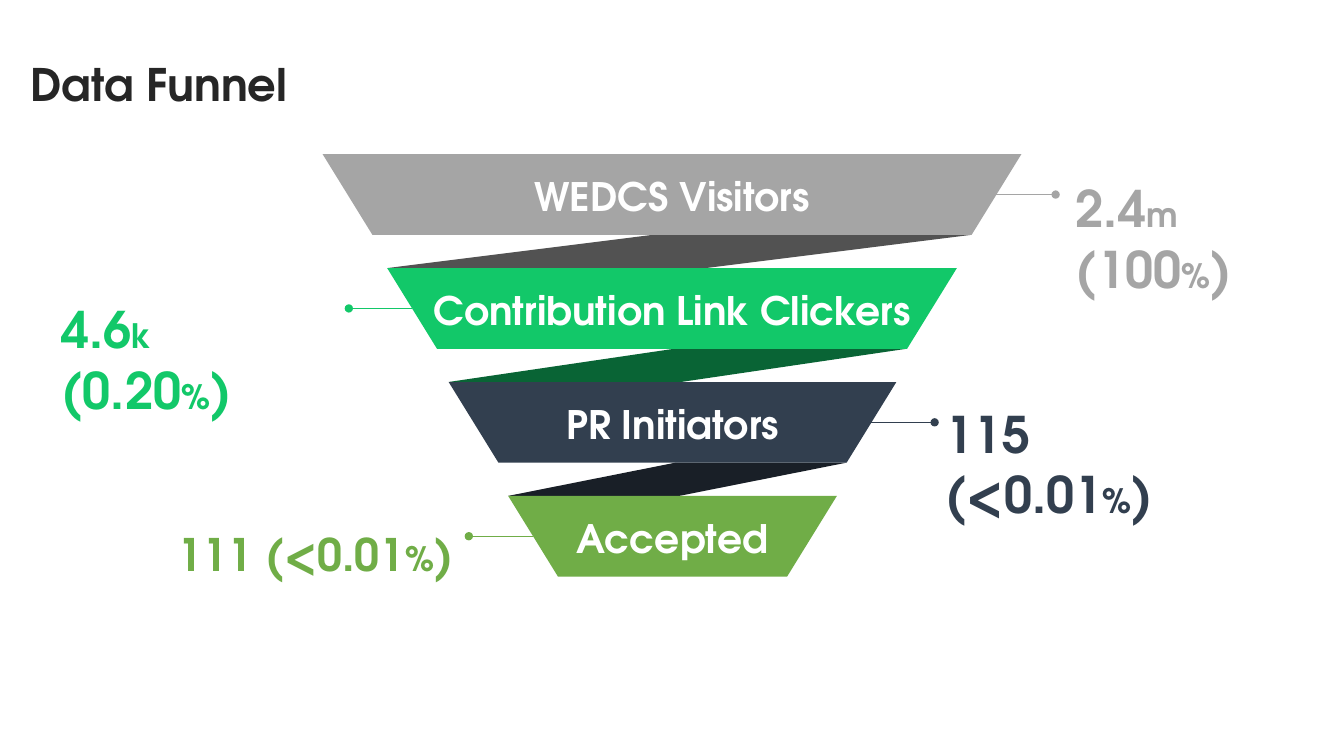
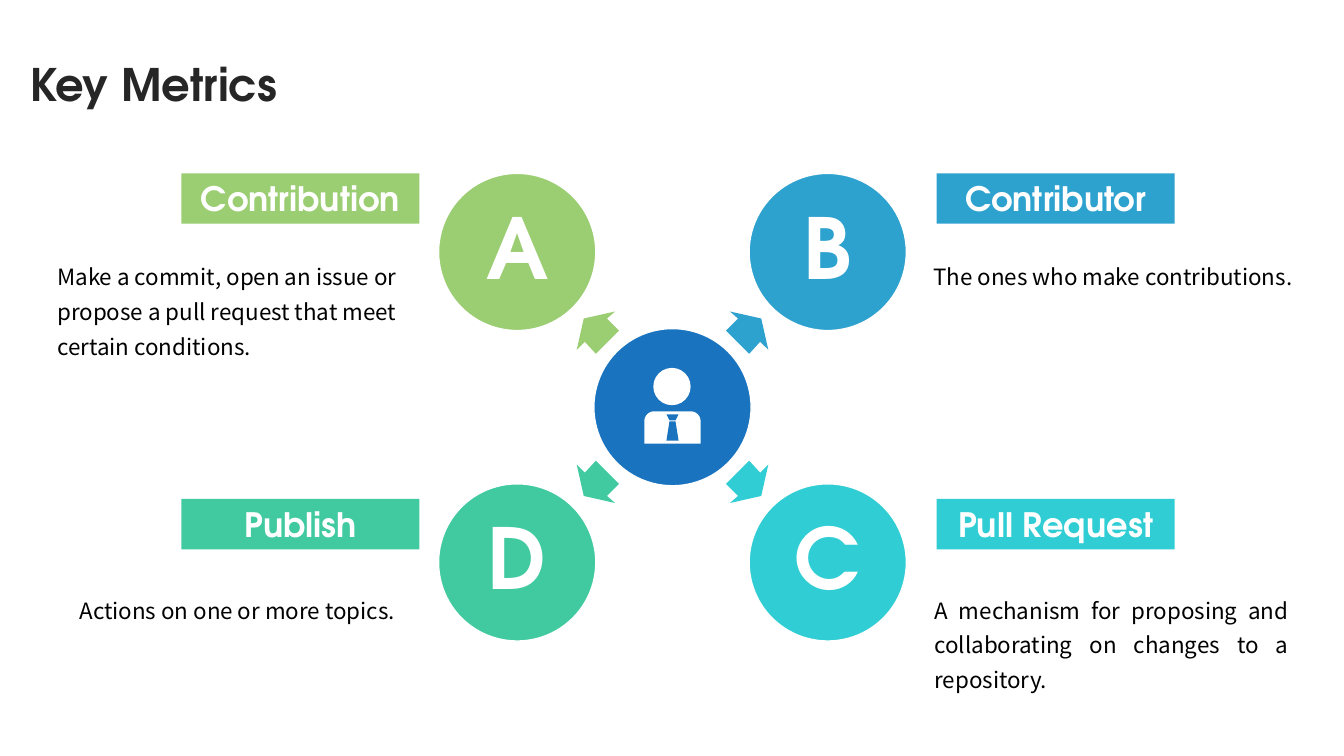
from dataclasses import dataclass

from lxml.etree import SubElement
from pptx import Presentation
from pptx.dml.color import RGBColor
from pptx.enum.shapes import MSO_CONNECTOR, MSO_SHAPE
from pptx.enum.text import MSO_ANCHOR, PP_ALIGN
from pptx.oxml.ns import qn
from pptx.util import Inches, Pt


@dataclass(frozen=True)
class Theme:
    heading_font: str = "TeX Gyre Adventor"
    body_font: str = "Noto Sans CJK SC"
    title_color: str = "262626"
    text_color: str = "000000"
    white: str = "FFFFFF"
    gray: str = "A5A5A5"
    green: str = "12C869"
    navy: str = "323F4F"
    olive: str = "70AD47"
    dark_gray: str = "525252"
    dark_green: str = "096435"
    dark_navy: str = "191F27"
    hub_blue: str = "1973BF"
    lime: str = "9BCD72"
    blue: str = "2EA2CF"
    cyan: str = "30CED4"
    mint: str = "41CAA0"
    title_size: int = 32
    stage_size: int = 28
    unit_size: int = 24
    tag_size: int = 24
    letter_size: int = 60
    body_size: int = 16


THEME = Theme()


@dataclass(frozen=True)
class Ribbon:
    color: str
    lean: float


@dataclass(frozen=True)
class Stage:
    label: str
    color: str
    left: float
    width: float
    side: int
    dot_x: float
    value_box: tuple
    value_size: int
    value_lines: tuple
    ribbon: Ribbon = None


@dataclass(frozen=True)
class Metric:
    letter: str
    name: str
    color: str
    side_x: int
    side_y: int
    description: str
    description_box: tuple
    alignment: PP_ALIGN = PP_ALIGN.LEFT


STAGES = (
    Stage("WEDCS Visitors", THEME.gray, 3.2, 6.93, 1, 10.47, (10.57, 1.71, 2.82, 1.3), 36,
          (("2.4", "m"), ("(100", "%", ")")), Ribbon(THEME.dark_gray, 7.99)),
    Stage("Contribution Link Clickers", THEME.green, 3.84, 5.65, -1, 3.46, (0.51, 2.91, 2.84, 1.3), 36,
          (("4.6", "k"), ("(0.20", "%", ")")), Ribbon(THEME.dark_green, 6.79)),
    Stage("PR Initiators", THEME.navy, 4.45, 4.44, 1, 9.27, (9.28, 3.95, 3.15, 1.3), 36,
          (("115",), ("(<0.01", "%", ")")), Ribbon(THEME.dark_navy, 5.03)),
    Stage("Accepted", THEME.olive, 5.04, 3.26, -1, 4.65, (1.66, 5.18, 2.95, 0.64), 32,
          (("111 (<0.01", "%", ")"),)),
)

METRICS = (
    Metric("A", "Contribution", THEME.lime, -1, -1,
           "Make a commit, open an issue or propose a pull request that meet certain conditions.",
           (0.47, 2.48, 3.92, 1.15)),
    Metric("B", "Contributor", THEME.blue, 1, -1,
           "The ones who make contributions.", (9.16, 2.48, 3.92, 0.42)),
    Metric("C", "Pull Request", THEME.cyan, 1, 1,
           "A mechanism for proposing and collaborating on changes to a repository.",
           (9.17, 5.79, 3.71, 1.15), PP_ALIGN.JUSTIFY),
    Metric("D", "Publish", THEME.mint, -1, 1,
           "Actions on one or more topics.", (0.69, 5.79, 3.57, 0.45)),
)

FUNNEL_TOP = 1.53
STAGE_HEIGHT = 0.8
STAGE_STEP = 1.13
STAGE_SLANT = 0.617
CIRCLE_SIZE = 1.56
CIRCLE_OFFSET = 1.54
ARROW_POINTS = ((0.53, 0.76), (0.65, 0.88), (0.57, 0.95), (0.88, 0.88),
                (0.95, 0.57), (0.87, 0.65), (0.76, 0.53))


def lengths(*values):
    return [Inches(value) for value in values]


def style_run(run, size, color, font=THEME.heading_font, bold=True):
    run.font.name = font
    run.font.size = Pt(size)
    run.font.bold = bold
    run.font.color.rgb = RGBColor.from_string(color)


def paint(shape, color, outline=None):
    shape.shadow.inherit = False
    shape.fill.solid()
    shape.fill.fore_color.rgb = RGBColor.from_string(color)
    if outline:
        shape.line.color.rgb = RGBColor.from_string(outline)
        shape.line.width = Pt(1)
    else:
        shape.line.fill.background()
    return shape


def add_filled(shapes, kind, box, color, outline=None):
    return paint(shapes.add_shape(kind, *lengths(*box)), color, outline)


def write(shape, text, size, color, alignment=PP_ALIGN.LEFT, anchor=MSO_ANCHOR.MIDDLE,
          font=THEME.heading_font, bold=True):
    text_frame = shape.text_frame
    text_frame.word_wrap = True
    text_frame.vertical_anchor = anchor
    text_frame.text = text
    paragraph = text_frame.paragraphs[0]
    paragraph.alignment = alignment
    style_run(paragraph.runs[0], size, color, font, bold)
    return paragraph


def add_title_slide(presentation, title):
    slide = presentation.slides.add_slide(presentation.slide_layouts[6])
    title_box = slide.shapes.add_textbox(*lengths(0.2, 0.51, 4.75, 0.64))
    write(title_box, title, THEME.title_size, THEME.title_color)
    return slide


def add_ribbon(slide, stage, next_stage, top):
    right = stage.left + stage.width - STAGE_HEIGHT * STAGE_SLANT
    box = (next_stage.left, top + STAGE_HEIGHT, right - next_stage.left, STAGE_STEP - STAGE_HEIGHT)
    ribbon = add_filled(slide.shapes, MSO_SHAPE.PARALLELOGRAM, box, stage.ribbon.color)
    ribbon.adjustments[0] = stage.ribbon.lean


def add_stage(slide, stage, top):
    group = slide.shapes.add_group_shape()
    band = add_filled(group.shapes, MSO_SHAPE.TRAPEZOID,
                      (stage.left, top, stage.width, STAGE_HEIGHT), stage.color)
    band.adjustments[0] = STAGE_SLANT
    band.rotation = 180
    label = group.shapes.add_textbox(*lengths(stage.left, top + 0.13, stage.width, 0.57))
    write(label, stage.label, THEME.stage_size, THEME.white, PP_ALIGN.CENTER)


def add_pointer(slide, stage, top):
    half_width = (stage.width - STAGE_HEIGHT * STAGE_SLANT) / 2
    start_x = stage.left + stage.width / 2 + stage.side * half_width
    middle = top + STAGE_HEIGHT / 2
    pointer = slide.shapes.add_connector(
        MSO_CONNECTOR.STRAIGHT, *lengths(start_x, middle, stage.dot_x, middle))
    pointer.line.color.rgb = RGBColor.from_string(stage.color)
    pointer.line.width = Pt(1)
    properties = pointer.element.spPr
    SubElement(properties.find(qn("a:ln")), qn("a:tailEnd"), type="oval")
    SubElement(properties, qn("a:effectLst"))


def add_value(slide, stage):
    text_frame = slide.shapes.add_textbox(*lengths(*stage.value_box)).text_frame
    text_frame.word_wrap = True
    paragraph = text_frame.paragraphs[0]
    for index, pieces in enumerate(stage.value_lines):
        if index:
            paragraph.add_line_break()
        for piece in pieces:
            run = paragraph.add_run()
            run.text = piece
            is_unit = piece in ("m", "k", "%")
            style_run(run, THEME.unit_size if is_unit else stage.value_size, stage.color)


def build_funnel(presentation):
    slide = add_title_slide(presentation, "Data Funnel")
    tops = [FUNNEL_TOP + index * STAGE_STEP for index in range(len(STAGES))]
    for stage, next_stage, top in zip(STAGES, STAGES[1:], tops):
        add_ribbon(slide, stage, next_stage, top)
    for stage, top in zip(STAGES, tops):
        add_stage(slide, stage, top)
        add_pointer(slide, stage, top)
        add_value(slide, stage)


def add_circle(slide, center_x, center_y, color):
    box = (center_x - CIRCLE_SIZE / 2, center_y - CIRCLE_SIZE / 2, CIRCLE_SIZE, CIRCLE_SIZE)
    return add_filled(slide.shapes, MSO_SHAPE.OVAL, box, color, THEME.white)


def add_person(slide, center_x, center_y):
    shapes = slide.shapes.add_group_shape().shapes
    add_filled(shapes, MSO_SHAPE.OVAL, (center_x - 0.19, center_y - 0.39, 0.37, 0.37), THEME.white)
    body = add_filled(shapes, MSO_SHAPE.ROUND_2_SAME_RECTANGLE,
                      (center_x - 0.28, center_y + 0.04, 0.56, 0.32), THEME.white)
    body.adjustments[0] = 0.31
    knot = add_filled(shapes, MSO_SHAPE.TRAPEZOID,
                      (center_x - 0.06, center_y + 0.07, 0.12, 0.06), THEME.hub_blue)
    knot.adjustments[0] = 0.5
    knot.rotation = 180
    add_filled(shapes, MSO_SHAPE.TRAPEZOID,
               (center_x - 0.06, center_y + 0.14, 0.12, 0.19), THEME.hub_blue)


def add_arrow(slide, metric, center_x, center_y):
    points = [lengths(center_x + metric.side_x * x, center_y + metric.side_y * y)
              for x, y in ARROW_POINTS]
    builder = slide.shapes.build_freeform(*points[0])
    builder.add_line_segments(points[1:], close=True)
    paint(builder.convert_to_shape(), metric.color)


def add_metric(slide, metric, center_x, center_y):
    add_arrow(slide, metric, center_x, center_y)
    circle = add_circle(slide, center_x + metric.side_x * CIRCLE_OFFSET,
                        center_y + metric.side_y * CIRCLE_OFFSET, metric.color)
    letter = write(circle, metric.letter, THEME.letter_size, THEME.white, PP_ALIGN.CENTER)
    letter.line_spacing = 0.9

    tag_left = 9.29 if metric.side_x > 0 else 1.8
    tag_top = 4.95 if metric.side_y > 0 else 1.72
    tag = add_filled(slide.shapes, MSO_SHAPE.RECTANGLE, (tag_left, tag_top, 2.36, 0.5), metric.color)
    write(tag, metric.name, THEME.tag_size, THEME.white, PP_ALIGN.CENTER)

    description_box = slide.shapes.add_textbox(*lengths(*metric.description_box))
    description = write(description_box, metric.description, THEME.body_size, THEME.text_color,
                        metric.alignment, MSO_ANCHOR.TOP, THEME.body_font, False)
    description.line_spacing = 1.3
    description.space_before = Pt(6)


def build_metrics(presentation):
    slide = add_title_slide(presentation, "Key Metrics")
    center_x, center_y = 6.67, 4.04
    add_circle(slide, center_x, center_y, THEME.hub_blue)
    add_person(slide, center_x, center_y)
    for metric in METRICS:
        add_metric(slide, metric, center_x, center_y)


def main():
    presentation = Presentation()
    presentation.slide_width = Inches(13.33)
    presentation.slide_height = Inches(7.5)
    build_funnel(presentation)
    build_metrics(presentation)
    presentation.save("out.pptx")


if __name__ == "__main__":
    main()
